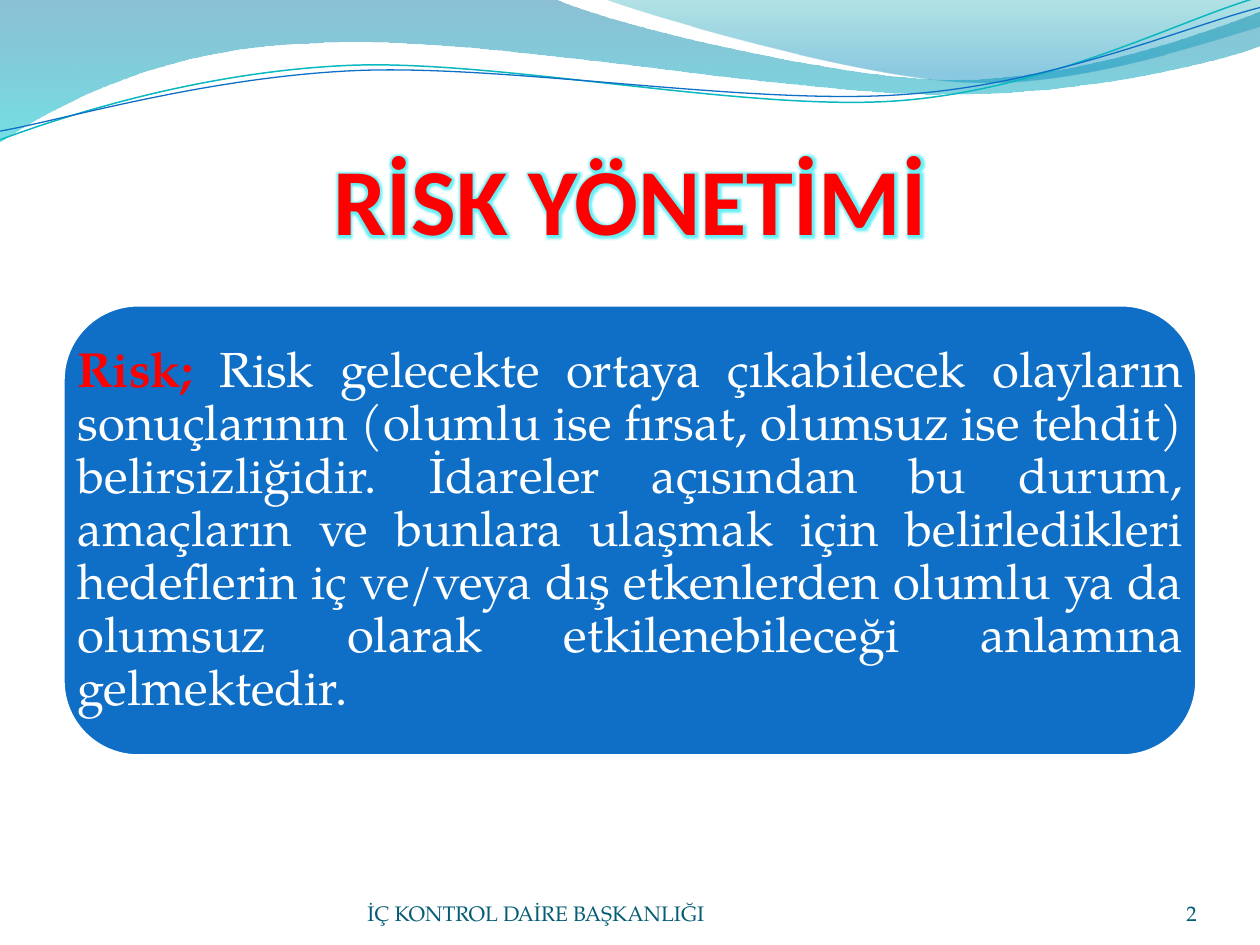
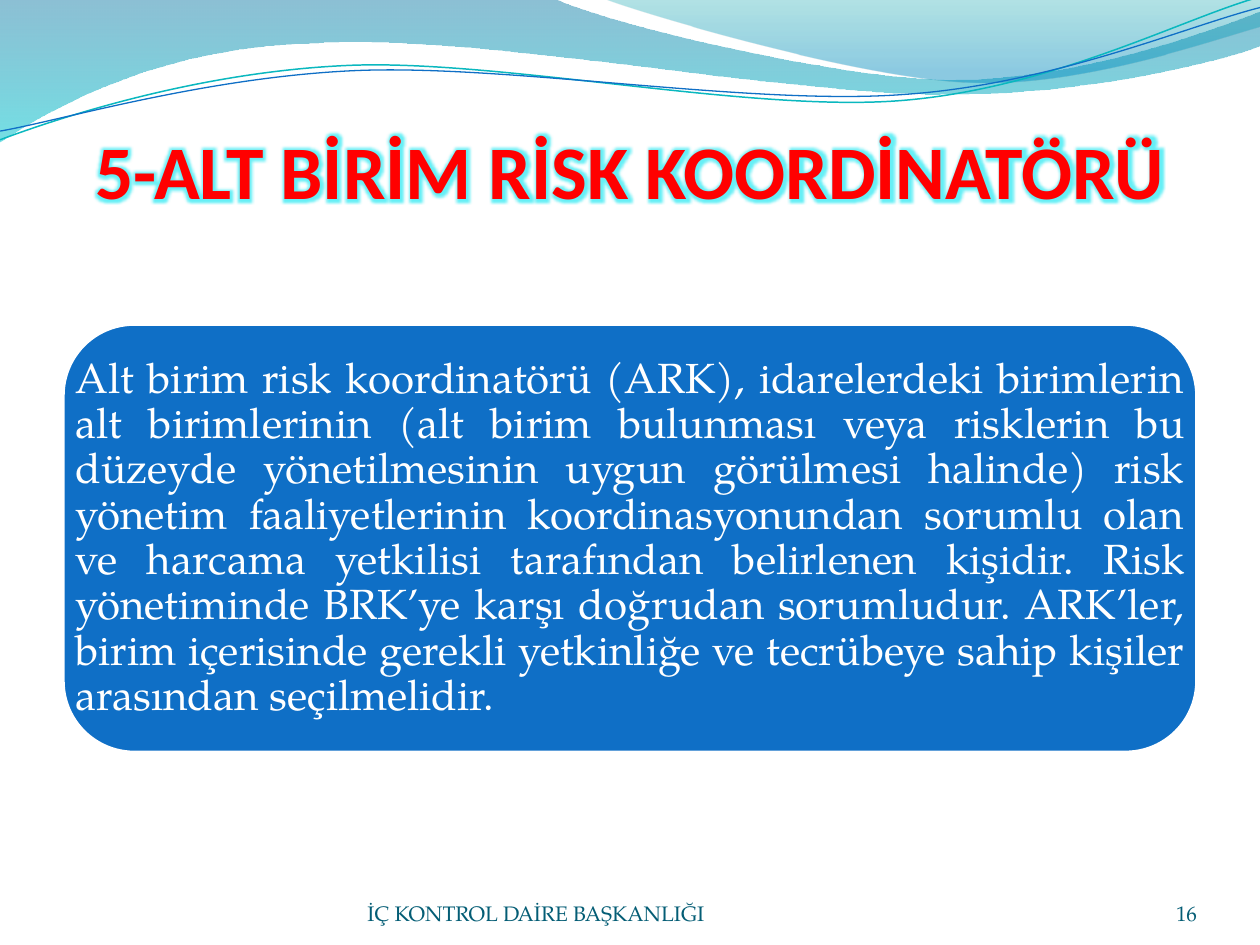
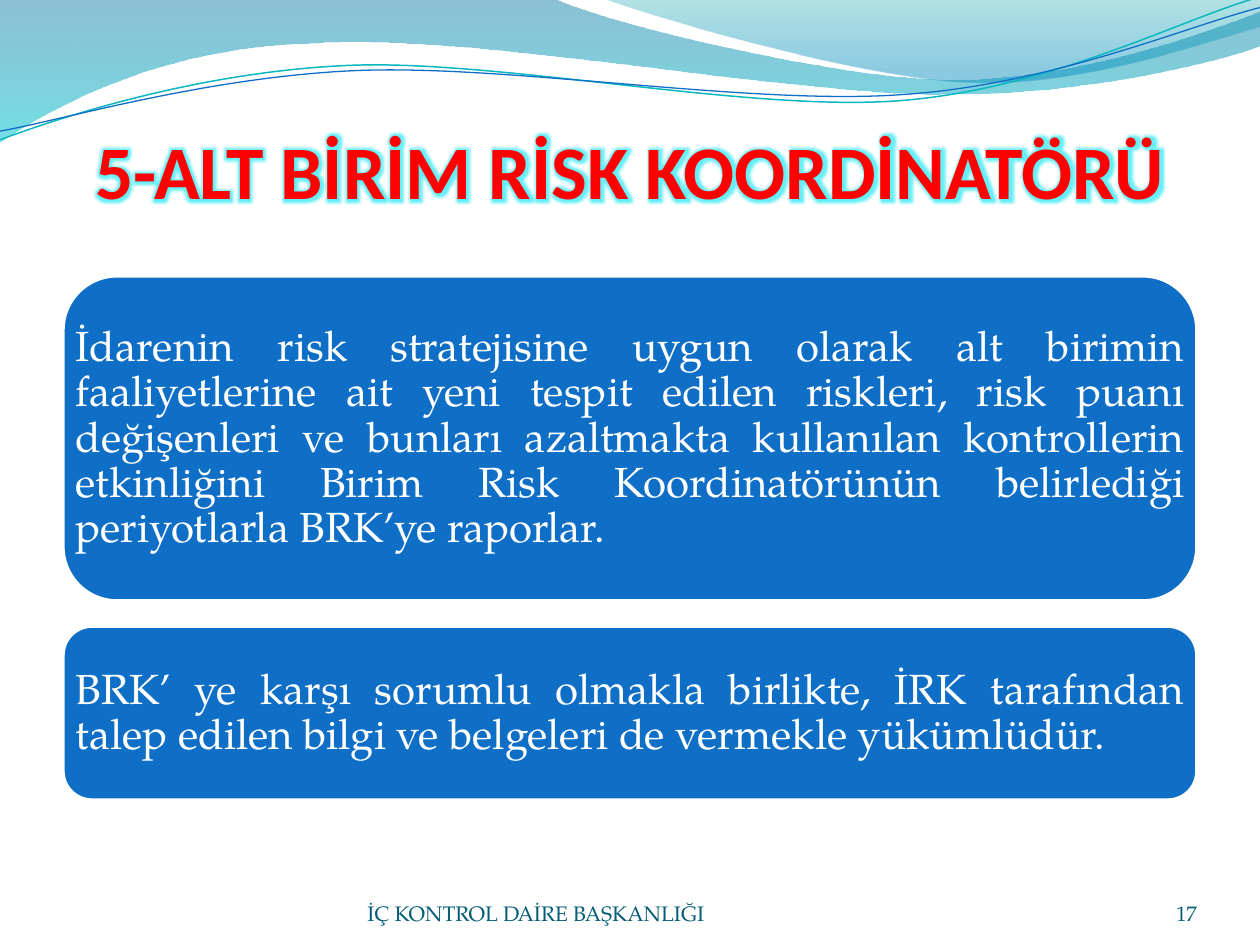
from lxml.etree import SubElement
from pptx import Presentation
from pptx.dml.color import RGBColor
from pptx.enum.shapes import MSO_SHAPE
from pptx.enum.text import MSO_ANCHOR as Anchor, MSO_AUTO_SIZE as AutoSize, PP_ALIGN as Align
from pptx.oxml import parse_xml
from pptx.oxml.ns import nsdecls, qn
from pptx.util import Pt

RED = RGBColor(0xFF, 0x00, 0x00)
WHITE = RGBColor(0xFF, 0xFF, 0xFF)
BLUE = RGBColor(0x0F, 0x6F, 0xC6)
TEAL = RGBColor(0x0A, 0xB8, 0xBF)
FOOTER_BLUE = RGBColor(0x04, 0x5D, 0x75)
GLOW_CYAN = RGBColor(0x00, 0xE5, 0xF0)
WAVE_NAVY = RGBColor(0x00, 0x74, 0xA1)
WAVE_CYAN = RGBColor(0x00, 0xC6, 0xCF)
WAVE_GREEN = RGBColor(0x00, 0xA1, 0xA9)
WAVE_SKY = RGBColor(0x00, 0x8B, 0xBF)
TITLE_FONT, BODY_FONT = "Calibri", "TeX Gyre Pagella"

SLIDE_W, SLIDE_H = 720, 540
LEFT, CONTENT_W = 36, 648
PANEL_GAP = 14.4
INSET_RATIO = 0.3  # panel text inset per point of text size
FOOTER = "İÇ KONTROL DAİRE BAŞKANLIĞI"
FOOTER_TOP, FOOTER_H = 500.4, 28.8
FOOTER_LEFT, FOOTER_W = 210, 264
NUMBER_W = 60

# Each panel: height and its (text, format) runs
SLIDES = [
    dict(number="2", title="RİSK YÖNETİMİ", title_top=55.4, title_h=90, title_size=54,
         panels_top=174.2, size=28, space_after=18,
         panels=[(257.8, [
             ("Risk; ", dict(color=RED, bold=True)),
             ("Risk gelecekte ortaya çıkabilecek olayların sonuçlarının (olumlu ise fırsat, "
              "olumsuz ise tehdit) belirsizliğidir. İdareler açısından bu durum, amaçların ve "
              "bunlara ulaşmak için belirledikleri hedeflerin iç ve/veya dış etkenlerden olumlu "
              "ya da olumsuz olarak etkilenebileceği anlamına gelmektedir.", {})])]),
    dict(number="16", title="5-ALT BİRİM RİSK KOORDİNATÖRÜ", title_top=37.4, title_h=85,
         title_size=43.2, panels_top=185.2, size=24, space_after=8.4,
         panels=[(244.8, [
             ("Alt birim risk koordinatörü (ARK), idarelerdeki birimlerin alt birimlerinin (alt "
              "birim bulunması veya risklerin bu düzeyde yönetilmesinin uygun görülmesi halinde) "
              "risk yönetim faaliyetlerinin koordinasyonundan sorumlu olan ve harcama yetkilisi "
              "tarafından belirlenen kişidir. Risk yönetiminde BRK’ye karşı doğrudan sorumludur. "
              "ARK’ler, birim içerisinde gerekli yetkinliğe ve tecrübeye sahip kişiler arasından "
              "seçilmelidir.", {})])]),
    dict(number="17", title="5-ALT BİRİM RİSK KOORDİNATÖRÜ", title_top=37.4, title_h=85,
         title_size=43.2, panels_top=157.6, size=24, space_after=8.4,
         panels=[
             (185.8, [
                 ("İdarenin risk stratejisine uygun olarak alt birimin faaliyetlerine ait yeni "
                  "tespit edilen riskleri, risk puanı değişenleri ve bunları azaltmakta kullanılan "
                  "kontrollerin etkinliğini Birim Risk Koordinatörünün belirlediği periyotlarla "
                  "BRK’ye raporlar.", {})]),
             (99.4, [
                 ("BRK’ ye karşı sorumlu olmakla birlikte, İRK tarafından talep edilen bilgi ve "
                  "belgeleri de vermekle yükümlüdür.", {})])]),
]

# Outlines: a start point, then steps of one point (line) or three points (curve)
FILLED_WAVES = [
    dict(stops=[(0, WAVE_NAVY, 45), (1, WAVE_CYAN, 55)], start=(0, 0), steps=[
        [(316.8, -0.7)],
        [(342.7, 12.2), (478, 45.4), (545.8, 45.4)],
        [(614.2, 45.4), (689.8, 18.7), (720, 6.5)],
        [(720.7, 25.9)],
        [(707.8, 31.7), (626.4, 54.7), (537, 54)],
        [(447.8, 54), (275, 20.2), (185, 24.5)],
        [(92.9, 25.9), (33.1, 59.8), (-0.7, 81.4)]]),
    dict(stops=[(0, WAVE_GREEN, 30), (0.8, WAVE_SKY, 45)], start=(344.9, -0.7), steps=[
        [(366.5, 7.9), (491, 44.6), (553.7, 46.8)],
        [(616.3, 49.7), (691.9, 23), (720, 15.1)],
        [(720, 0)]]),
]
WAVE_LINES = [
    dict(color=TEAL, width=0.85, start=(0, 79.9), steps=[
        [(34.6, 67), (113.8, 41), (199.4, 37.4)],
        [(284.4, 33.8), (427, 64.1), (513.4, 57.6)],
        [(599.8, 51.1), (675.4, 10.8), (718.6, -1.4)]]),
    dict(color=BLUE, width=0.75, start=(0, 74.9), steps=[
        [(33.8, 69.1), (118.1, 43.9), (203.8, 40.3)],
        [(290.2, 36.7), (429.8, 60.5), (516.2, 54)],
        [(601.9, 48.2), (677.5, 15.1), (720, 4.3)]]),
]


def add_outline(slide, start, steps, close):
    """Draw straight segments through all points, then merge each step of three into a curve."""
    points = [(Pt(x), Pt(y)) for step in steps for x, y in step]
    builder = slide.shapes.build_freeform(*map(Pt, start))
    builder.add_line_segments(points, close=close)
    outline = builder.convert_to_shape()
    outline.shadow.inherit = False
    segments = iter(list(outline._element.iter(qn("a:lnTo"))))
    for step in steps:
        parts = [next(segments) for _ in step]
        if len(parts) == 3:
            curve = parts[0].makeelement(qn("a:cubicBezTo"))
            parts[0].addprevious(curve)
            for segment in parts:
                curve.append(segment[0])
                segment.getparent().remove(segment)
    return outline


def add_waves(slide):
    waves = []
    for wave in FILLED_WAVES:
        band = add_outline(slide, wave["start"], wave["steps"], close=True)
        band.line.fill.background()
        band.fill.gradient()
        band.fill.gradient_angle = 270
        for stop, (position, color, _) in zip(band.fill.gradient_stops, wave["stops"]):
            stop.position, stop.color.rgb = position, color
        colors = band._element.spPr.iter(qn("a:srgbClr"))
        for color, (_, _, opacity) in zip(colors, wave["stops"]):
            SubElement(color, qn("a:alpha")).set("val", str(opacity * 1000))
        waves.append(band)
    for wave in WAVE_LINES:
        curve = add_outline(slide, wave["start"], wave["steps"], close=False)
        curve.fill.background()
        curve.line.color.rgb, curve.line.width = wave["color"], Pt(wave["width"])
        waves.append(curve)
    return waves


def move_to_layout(waves, layout):
    """Put the waves behind everything in the layout, so all slides share them."""
    first = layout.shapes[0]._element
    for shape_id, wave in enumerate(waves, start=101):
        wave._element.nvSpPr.cNvPr.set("id", str(shape_id))
        first.addprevious(wave._element)


def write(shape, runs, *, size, color, font=BODY_FONT, bold=False, align=Align.LEFT,
          anchor=Anchor.BOTTOM, insets=(0, 0, 0, 0), line_spacing=None, space_after=0):
    """Fill a shape with one paragraph; each run may override colour and bold."""
    frame = shape.text_frame
    frame.word_wrap, frame.auto_size, frame.vertical_anchor = True, AutoSize.NONE, anchor
    (frame.margin_left, frame.margin_top,
     frame.margin_right, frame.margin_bottom) = map(Pt, insets)
    paragraph = frame.paragraphs[0]
    paragraph.alignment, paragraph.space_after = align, Pt(space_after)
    paragraph.line_spacing = line_spacing
    for text, changes in runs:
        run = paragraph.add_run()
        run.text = text
        run.font.name, run.font.size = font, Pt(size)
        run.font.bold = changes.get("bold", bold)
        run.font.color.rgb = changes.get("color", color)


def place(shape, *box):
    shape.left, shape.top, shape.width, shape.height = map(Pt, box)


def add_text(slide, box, runs, **text_format):
    write(slide.shapes.add_textbox(*map(Pt, box)), runs, **text_format)


def add_title(slide, content):
    title = slide.shapes.title
    place(title, LEFT, content["title_top"], CONTENT_W, content["title_h"])
    write(title, [(content["title"], {})], size=content["title_size"], color=RED,
          font=TITLE_FONT, bold=True, align=Align.CENTER, insets=(0, 3.6, 0, 0))
    letters = title.text_frame.paragraphs[0].runs[0].font._element
    letters.insert(0, parse_xml(
        f'<a:ln {nsdecls("a")} w="{Pt(0.9)}"><a:solidFill><a:srgbClr val="{WHITE}"/>'
        '</a:solidFill></a:ln>'))
    letters.find(qn("a:solidFill")).addnext(parse_xml(
        f'<a:effectLst {nsdecls("a")}><a:glow rad="{Pt(6)}"><a:srgbClr val="{GLOW_CYAN}">'
        '<a:alpha val="60000"/></a:srgbClr></a:glow></a:effectLst>'))


def add_panels(slide, content):
    top, size = content["panels_top"], content["size"]
    for height, runs in content["panels"]:
        box = (LEFT, top, CONTENT_W, height)
        panel = slide.shapes.add_shape(MSO_SHAPE.ROUNDED_RECTANGLE, *map(Pt, box))
        panel.shadow.inherit = False
        panel.fill.solid()
        panel.fill.fore_color.rgb = BLUE
        panel.line.color.rgb, panel.line.width = WHITE, Pt(2)
        add_text(slide, box, runs, size=size, color=WHITE, align=Align.JUSTIFY,
                 anchor=Anchor.MIDDLE, insets=[size * INSET_RATIO] * 4, line_spacing=0.9,
                 space_after=content["space_after"])
        top += height + PANEL_GAP


def add_footer(slide, number):
    number_left = LEFT + CONTENT_W - NUMBER_W
    for text, left, width, align in [(FOOTER, FOOTER_LEFT, FOOTER_W, Align.LEFT),
                                     (number, number_left, NUMBER_W, Align.RIGHT)]:
        add_text(slide, (left, FOOTER_TOP, width, FOOTER_H), [(text, {})],
                 size=12, color=FOOTER_BLUE, align=align)


def main():
    prs = Presentation()
    prs.slide_width, prs.slide_height = Pt(SLIDE_W), Pt(SLIDE_H)
    title_only = prs.slide_layouts[5]
    for index, content in enumerate(SLIDES):
        slide = prs.slides.add_slide(title_only)
        if index == 0:
            move_to_layout(add_waves(slide), title_only)
        add_title(slide, content)
        add_panels(slide, content)
        add_footer(slide, content["number"])
    prs.save("out.pptx")


if __name__ == "__main__":
    main()
